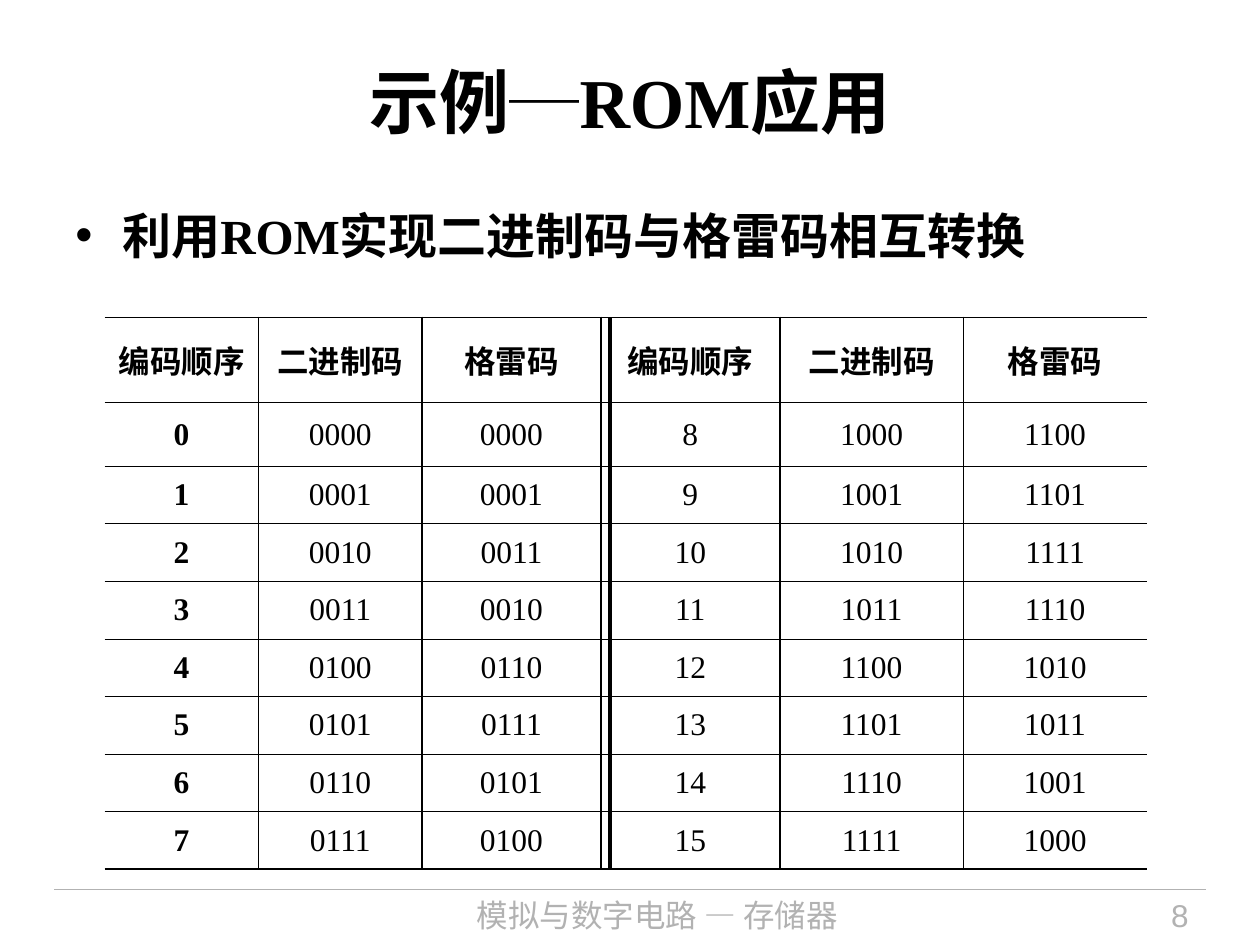
import pptx
import pptx.dml.color
import pptx.enum.shapes
import pptx.enum.text
import pptx.util
from dataclasses import dataclass
from lxml import etree
from pptx.oxml.ns import qn
from pptx.util import Cm, Pt


@dataclass(frozen=True)
class Theme:
    ink: str = "000000"
    muted: str = "B2B2B2"
    serif: str = "Times New Roman"
    sans: str = "Arial"
    chinese: str = "Noto Sans CJK SC"
    title_size: int = 40
    body_size: int = 28
    small_size: int = 18
    thin: float = 0.45
    medium: float = 1.08


theme = Theme()


def add_run(paragraph, text, size, font, color=theme.ink, bold=False):
    run = paragraph.add_run()
    run.text = text
    run.font.size = Pt(size)
    run.font.bold = bold
    run.font.name = font
    run.font.color.rgb = pptx.dml.color.RGBColor.from_string(color)
    etree.SubElement(run.font._element, qn("a:ea"), typeface=theme.chinese)


def add_line(shapes, x1, y1, x2, y2, color, width):
    line = shapes.add_connector(
        pptx.enum.shapes.MSO_CONNECTOR.STRAIGHT, Cm(x1), Cm(y1), Cm(x2), Cm(y2))
    line.line.color.rgb = pptx.dml.color.RGBColor.from_string(color)
    line.line.width = Pt(width)
    etree.SubElement(line._element.spPr, qn("a:effectLst"))


align = pptx.enum.text.PP_ALIGN
middle = pptx.enum.text.MSO_ANCHOR.MIDDLE

presentation = pptx.Presentation()
presentation.slide_width = Cm(25.4)
presentation.slide_height = Cm(19.05)
slide = presentation.slides.add_slide(presentation.slide_layouts[5])

add_line(slide.shapes, 1.09, 17.93, 24.31, 17.93, theme.muted, 0.75)

footers = [
    (6.1, 14.3, align.CENTER, "模拟与数字电路 — 存储器", theme.chinese),
    (20.83, 3.38, align.RIGHT, "8", theme.sans),
]
for left, width, alignment, text, font in footers:
    footer = slide.shapes.add_textbox(Cm(left), Cm(17.93), Cm(width), Cm(1.12))
    footer.text_frame.word_wrap = True
    paragraph = footer.text_frame.paragraphs[0]
    paragraph.alignment = alignment
    add_run(paragraph, text, theme.small_size, font, theme.muted)

title = slide.shapes.title
title.left, title.top, title.width, title.height = Cm(1.27), Cm(0.43), Cm(22.86), Cm(3.18)
title.text_frame.auto_size = pptx.enum.text.MSO_AUTO_SIZE.NONE
title.text_frame.vertical_anchor = middle
paragraph = title.text_frame.paragraphs[0]
paragraph.alignment = align.CENTER
for text, font in [("示例", theme.serif), ("─", theme.chinese), ("ROM应用", theme.serif)]:
    add_run(paragraph, text, theme.title_size, font, bold=True)

body = slide.shapes.add_textbox(Cm(1.27), Cm(4.01), Cm(22.86), Cm(13.69))
body.text_frame.word_wrap = True
paragraph = body.text_frame.paragraphs[0]
paragraph.space_after = Pt(7)
properties = paragraph._p.get_or_add_pPr()
properties.set("marL", str(Cm(0.95)))
properties.set("indent", str(-Cm(0.95)))
etree.SubElement(properties, qn("a:buFont"), typeface=theme.sans)
etree.SubElement(properties, qn("a:buChar"), char="•")
add_run(paragraph, "利用ROM实现二进制码与格雷码相互转换", theme.body_size, theme.serif, bold=True)

column_widths = [3.1, 3.3, 3.6, 3.61, 3.7, 3.7]
row_heights = [1.71, 1.29] + [1.16] * 7
rows = [["编码顺序", "二进制码", "格雷码"] * 2]
for low in range(8):
    rows.append([text for code in (low, low + 8)
                 for text in (str(code), f"{code:04b}", f"{code ^ (code >> 1):04b}")])

frame = slide.shapes.add_table(
    len(rows), len(column_widths), Cm(2.11), Cm(6.4), Cm(sum(column_widths)), Cm(sum(row_heights)))
table = frame.table
table.first_row = False
table.horz_banding = False
for column, width in zip(table.columns, column_widths):
    column.width = Cm(width)
for row, height in zip(table.rows, row_heights):
    row.height = Cm(height)

last_row, last_column = len(rows) - 1, len(column_widths) - 1
for r, texts in enumerate(rows):
    for c, text in enumerate(texts):
        cell = table.cell(r, c)
        cell.vertical_anchor = middle
        borders = {
            "a:lnL": theme.medium if c > 0 else 0,
            "a:lnR": theme.medium if c < last_column else 0,
            "a:lnT": theme.medium if r == 0 else theme.thin,
            "a:lnB": theme.medium if r == last_row else theme.thin,
        }
        cell_properties = cell._tc.get_or_add_tcPr()
        for tag, width in borders.items():
            border = etree.SubElement(cell_properties, qn(tag), w=str(Pt(width)))
            if width:
                fill = etree.SubElement(border, qn("a:solidFill"))
                etree.SubElement(fill, qn("a:srgbClr"), val=theme.ink)
            else:
                etree.SubElement(border, qn("a:noFill"))
        cell.fill.background()
        paragraph = cell.text_frame.paragraphs[0]
        paragraph.alignment = align.CENTER
        paragraph.space_after = Pt(4.5)
        add_run(paragraph, text, theme.small_size, theme.serif, bold=r == 0 or c == 0)

add_line(slide.shapes, 12.29, 6.4, 12.29, 17.53, theme.ink, 2.25)

presentation.save("out.pptx")
